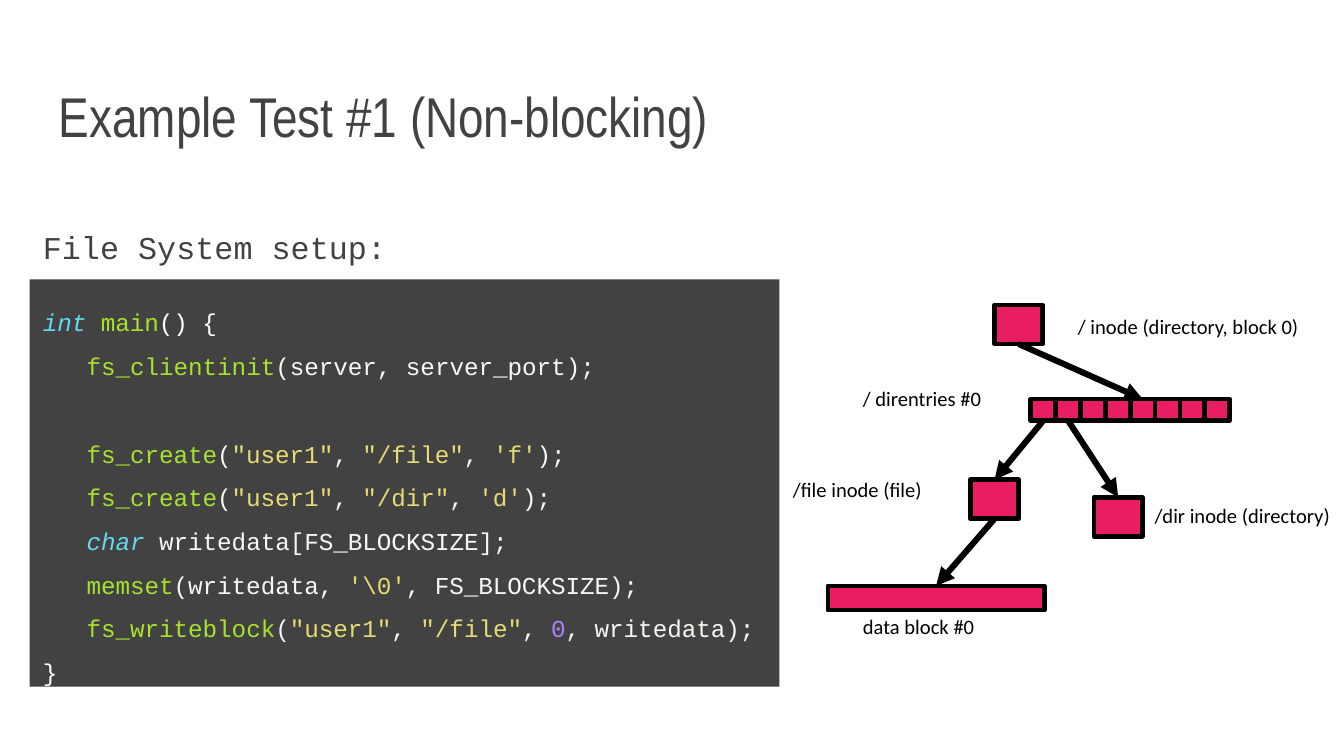
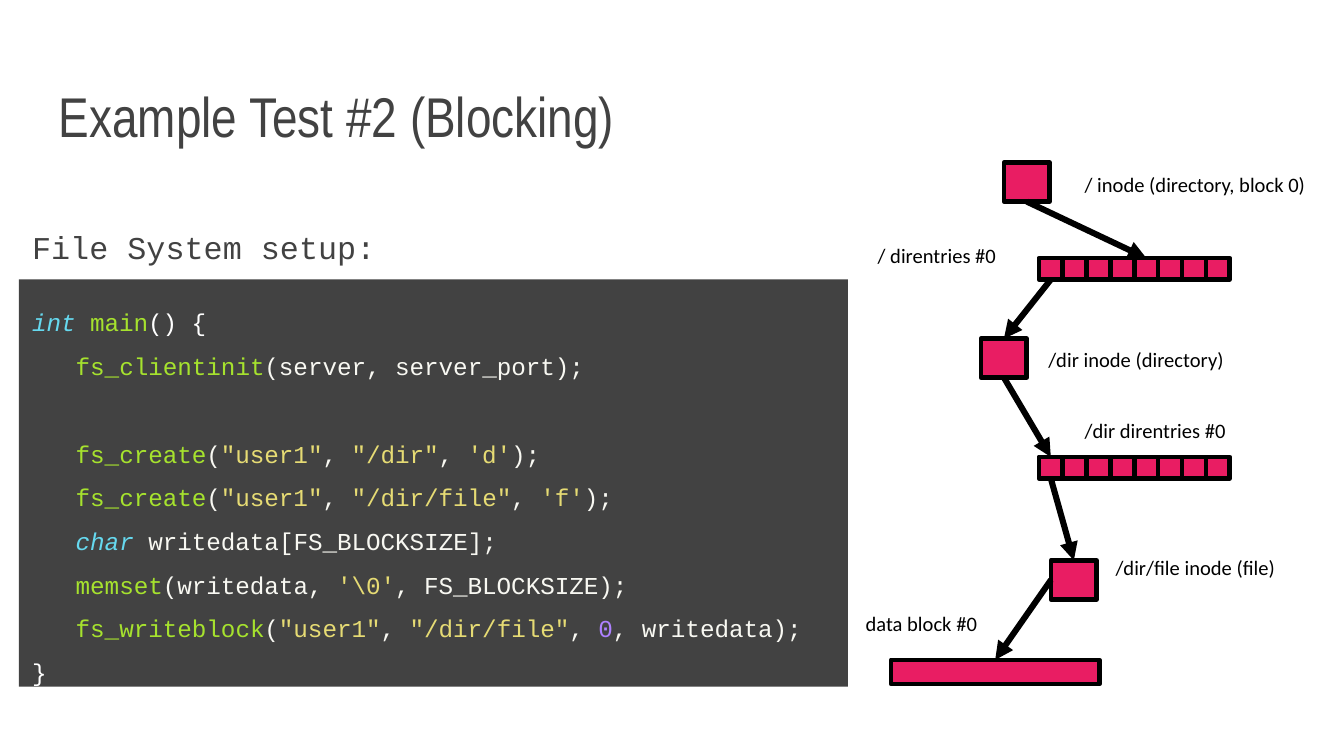
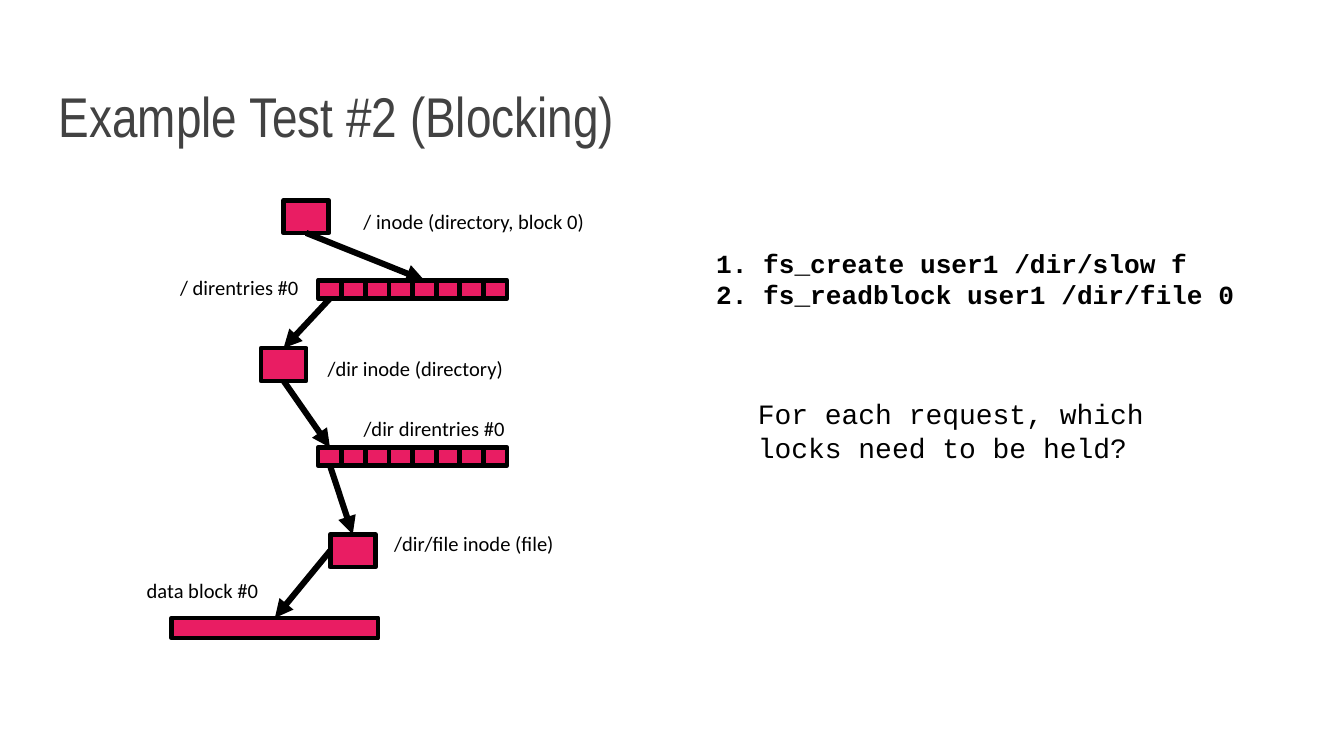
"""Build three slides on file system tests: setup code and inode diagrams."""
import pptx
import pptx.dml.color
import pptx.enum.shapes
import pptx.enum.text
import pptx.oxml
import pptx.oxml.ns
import pptx.util

Inches = pptx.util.Inches
Pt = pptx.util.Pt
COLORS = {
    "dark": "424242",
    "black": "000000",
    "white": "FFFFFF",
    "block": "E91D63",
    "plain": "F8F8F2",
    "type": "66D9EF",
    "call": "A6E22E",
    "string": "E6DB74",
    "number": "AE81FF",
}
TOP, LEFT, BOTTOM = 0, 1, 2
PAGE_WIDTH = 10
ENTRY_COUNT = 8
MIDDLE_ENTRY = ENTRY_COUNT // 2
CODE_INDENT = 0.325
CODE_LINE = 23.5


def rgb(name):
    """Return the named colour."""
    return pptx.dml.color.RGBColor.from_string(COLORS[name])


def add_span(para, text, *, size, font, color="black", bold=False, italic=False):
    """Append formatted text to a paragraph."""
    span = para.add_run()
    span.text = text
    span.font.name = font
    span.font.size = Pt(size)
    span.font.bold = bold
    span.font.italic = italic
    span.font.color.rgb = rgb(color)


def set_frame(frame, inset, anchor="TOP"):
    """Set wrapping, insets (horizontal, vertical) and anchor of a text frame."""
    frame.word_wrap = True
    frame.margin_left = frame.margin_right = Inches(inset[0])
    frame.margin_top = frame.margin_bottom = Inches(inset[1])
    frame.vertical_anchor = getattr(pptx.enum.text.MSO_ANCHOR, anchor)


def add_text(page, at, *lines, inset=(0.1, 0.1), anchor="TOP", spacing=1.0, **style):
    """Add a text box with one paragraph per line."""
    box = page.shapes.add_textbox(*map(Inches, at))
    frame = box.text_frame
    set_frame(frame, inset, anchor)
    for index, line in enumerate(lines):
        para = frame.add_paragraph() if index else frame.paragraphs[0]
        para.line_spacing = spacing
        add_span(para, line, **style)


def add_label(page, left, top, width, height, text):
    """Add a small diagram label."""
    add_text(page, (left, top, width, height), text, inset=(0.07, 0.04),
             size=11, font="Calibri")


def add_box(shapes, left, top, width, height, fill="block", outlined=True):
    """Add a filled rectangle, outlined in black by default."""
    box = shapes.add_shape(pptx.enum.shapes.MSO_SHAPE.RECTANGLE,
                           *map(Inches, (left, top, width, height)))
    box.shadow.inherit = False
    box.fill.solid()
    box.fill.fore_color.rgb = rgb(fill)
    if outlined:
        box.line.color.rgb = rgb("black")
        box.line.width = Pt(2.5)
    else:
        box.line.fill.background()
    return box


def add_entries(page, left, top, width, height):
    """Add a grouped row of directory entries and return its cells."""
    group = page.shapes.add_group_shape()
    cell = width / ENTRY_COUNT
    return [add_box(group.shapes, left + index * cell, top, cell, height)
            for index in range(ENTRY_COUNT)]


def add_arrow(page, source, side, target):
    """Join a side of one box to the top of another with a thick arrow."""
    arrow = page.shapes.add_connector(pptx.enum.shapes.MSO_CONNECTOR.STRAIGHT, 0, 0, 0, 0)
    arrow.begin_connect(source, side)
    arrow.end_connect(target, TOP)
    arrow.line.color.rgb = rgb("black")
    arrow.line.width = Pt(3.25)
    namespace = pptx.oxml.ns.nsdecls("a")
    arrow.line._get_or_add_ln().append(
        pptx.oxml.parse_xml(f'<a:tailEnd {namespace} type="triangle"/>'))
    arrow._element.spPr.append(pptx.oxml.parse_xml(f"<a:effectLst {namespace}/>"))


def create_call(name, kind):
    """Return the coloured spans of an fs_create call."""
    return [("call", "fs_create"), ("plain", "("), ("string", '"user1"'), ("plain", ", "),
            ("string", f'"{name}"'), ("plain", ", "), ("string", f"'{kind}'"), ("plain", ");")]


def setup_code(created, written):
    """Return the setup program as lists of coloured spans."""
    return [
        [("type", "int "), ("call", "main"), ("white", "() {")],
        [("call", "fs_clientinit"), ("plain", "(server, server_port);")],
        *[create_call(name, kind) for name, kind in created],
        [("type", "char "), ("plain", "writedata[FS_BLOCKSIZE];")],
        [("call", "memset"), ("plain", "(writedata, "), ("string", r"'\0'"),
         ("plain", ", FS_BLOCKSIZE);")],
        [("call", "fs_writeblock"), ("plain", "("), ("string", '"user1"'), ("plain", ", "),
         ("string", f'"{written}"'), ("plain", ", "), ("number", "0"),
         ("plain", ", writedata);")],
        [("white", "}")],
    ]


def add_setup(page, left, width, created, written):
    """Add the setup heading and its code panel."""
    panel = add_box(page.shapes, left, 2.08, width, 3.03, fill="dark", outlined=False)
    frame = panel.text_frame
    set_frame(frame, (0.1, 0.1))
    code = setup_code(created, written)
    for index, spans in enumerate(code):
        para = frame.add_paragraph() if index else frame.paragraphs[0]
        para.alignment = pptx.enum.text.PP_ALIGN.LEFT
        para.line_spacing = 1.5
        if 0 < index < len(code) - 1:
            para._p.get_or_add_pPr().set("marL", str(Inches(CODE_INDENT)))
        if index == 2:
            para.space_before = Pt(CODE_LINE)
        for kind, text in spans:
            add_span(para, text, size=13, font="Courier New", color=kind,
                     italic=kind == "type")
    add_text(page, (left, 1.55, 3.21, 0.54), "File System setup:", spacing=1.15,
             size=17, font="Courier New", color="dark")


def add_page(deck, title):
    """Add a blank page with its title."""
    page = deck.slides.add_slide(deck.slide_layouts[6])
    add_text(page, (0.34, 0.41, 9.32, 0.8), title, anchor="BOTTOM",
             size=30, font="Arial Narrow", color="dark")
    return page


def add_file_tree(page):
    """Draw a root directory that holds a file and a directory."""
    root = add_box(page.shapes, 7.4, 2.27, 0.36, 0.29)
    entries = add_entries(page, 7.67, 2.97, 1.48, 0.16)
    file_inode = add_box(page.shapes, 7.22, 3.57, 0.36, 0.29)
    dir_inode = add_box(page.shapes, 8.14, 3.7, 0.36, 0.29)
    data = add_box(page.shapes, 6.16, 4.36, 1.61, 0.18)
    add_arrow(page, root, BOTTOM, entries[MIDDLE_ENTRY])
    add_arrow(page, entries[0], BOTTOM, file_inode)
    add_arrow(page, entries[1], BOTTOM, dir_inode)
    add_arrow(page, file_inode, BOTTOM, data)
    add_label(page, 7.95, 2.3, 2.38, 0.24, "/ inode (directory, block 0)")
    add_label(page, 6.35, 2.83, 1.23, 0.44, "/ direntries #0")
    add_label(page, 5.83, 3.51, 1.47, 0.24, "/file inode (file)")
    add_label(page, 6.35, 4.53, 1.23, 0.24, "data block #0")
    add_label(page, 8.52, 3.7, 2.05, 0.24, "/dir inode (directory)")


def add_directory_chain(page, left, top, entries_label, x_scale=1.0, y_scale=1.0):
    """Draw the chain from the root inode at left, top to the data block."""
    def place(x, y, width, height):
        """Scale a spot and size relative to the root inode."""
        return (left + x * x_scale, top + y * y_scale, width * x_scale, height * y_scale)

    root, dir_inode, file_inode = [
        add_box(page.shapes, *place(x, y, 0.34, 0.29))
        for x, y in ((0, 0), (-0.17, 1.31), (0.35, 2.96))]
    root_entries, dir_entries = [
        add_entries(page, *place(0.26, y, 1.42, 0.16)) for y in (0.71, 2.19)]
    data = add_box(page.shapes, *place(-0.84, 3.7, 1.55, 0.18))
    add_arrow(page, root, BOTTOM, root_entries[MIDDLE_ENTRY])
    add_arrow(page, root_entries[0], BOTTOM, dir_inode)
    add_arrow(page, dir_inode, BOTTOM, dir_entries[0])
    add_arrow(page, dir_entries[0], BOTTOM, file_inode)
    add_arrow(page, file_inode, LEFT, data)
    labels = [
        (0.53, 0.03, 2.29, 0.24, "/ inode (directory, block 0)"),
        (0.26, 1.33, 1.88, 0.24, "/dir inode (directory)"),
        (0.53, 1.86, 1.98, 0.24, "/dir direntries #0"),
        (0.76, 2.88, 1.98, 0.45, "/dir/file inode (file)"),
        (-1.1, 3.3, 1.18, 0.24, "data block #0"),
    ]
    for *spot, text in labels:
        add_label(page, *place(*spot), text)
    add_label(page, *entries_label, 1.18 * x_scale, 0.45 * y_scale, "/ direntries #0")


def main():
    """Build and save the deck."""
    deck = pptx.Presentation()
    deck.slide_width = Inches(PAGE_WIDTH)
    deck.slide_height = Inches(PAGE_WIDTH * 9 / 16)

    page = add_page(deck, "Example Test #1 (Non-blocking)")
    add_setup(page, 0.22, 5.58, [("/file", "f"), ("/dir", "d")], "/file")
    add_file_tree(page)

    page = add_page(deck, "Example Test #2 (Blocking)")
    add_directory_chain(page, 7.47, 1.21, (6.46, 1.77))
    add_setup(page, 0.14, 6.17, [("/dir", "d"), ("/dir/file", "f")], "/dir/file")

    page = add_page(deck, "Example Test #2 (Blocking)")
    add_text(page, (5.54, 2.85, 3.27, 1.14), "For each request, which locks need to be held?",
             size=15, font="Courier New")
    add_text(page, (5.23, 1.74, 4.17, 0.67), "1. fs_create user1 /dir/slow f",
             "2. fs_readblock user1 /dir/file 0", size=14, font="Courier New", bold=True)
    add_directory_chain(page, 2.11, 1.49, (1.27, 2.01), x_scale=0.99, y_scale=0.84)

    deck.save("out.pptx")


if __name__ == "__main__":
    main()
